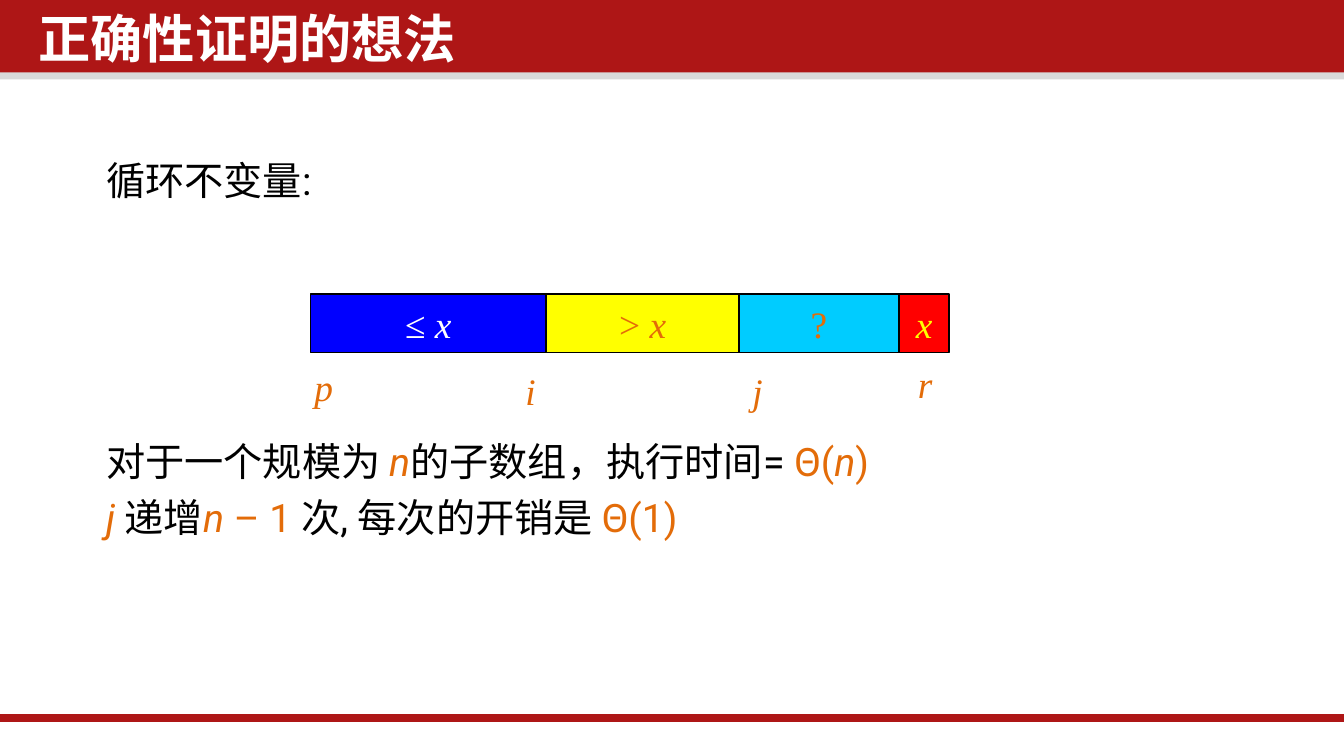
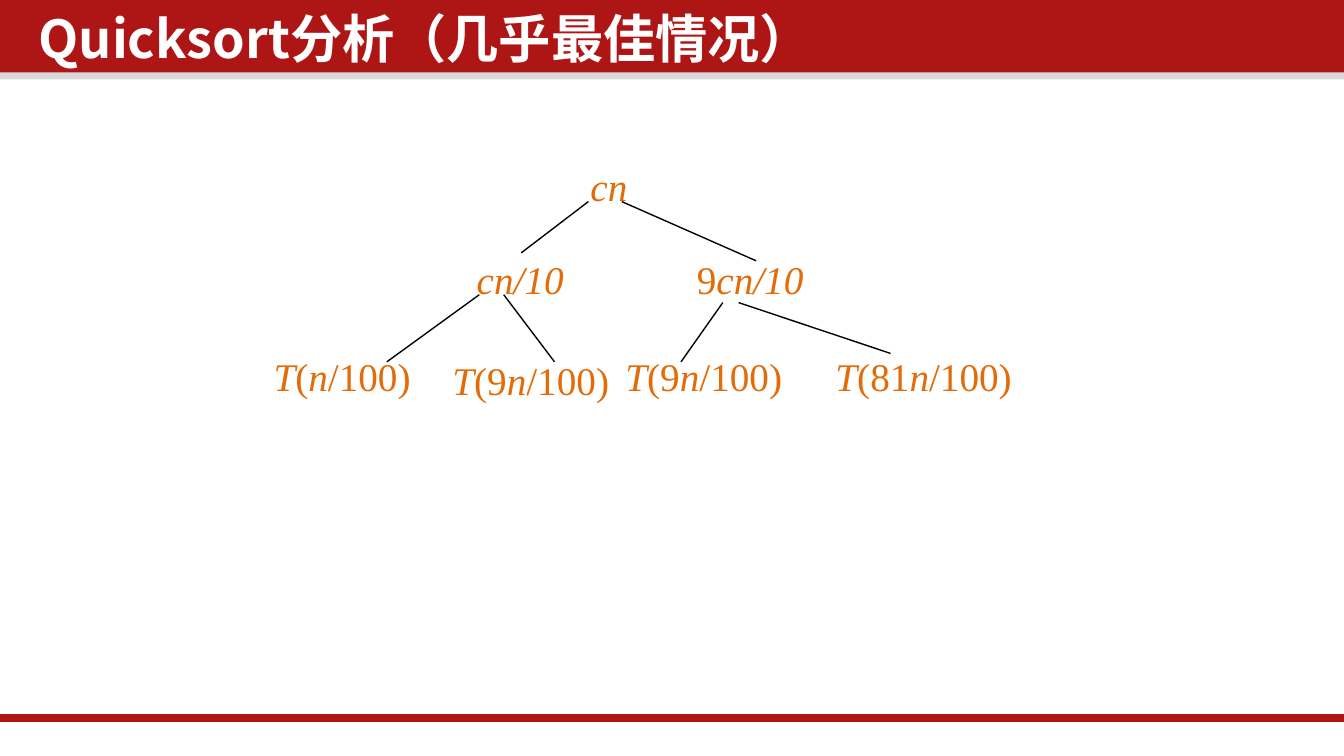
from lxml.etree import SubElement
from pptx import Presentation
from pptx.dml.color import RGBColor
from pptx.enum.shapes import MSO_CONNECTOR as Connector, MSO_SHAPE as Shape
from pptx.enum.text import MSO_ANCHOR as Anchor, MSO_AUTO_SIZE as AutoSize, PP_ALIGN as Align
from pptx.oxml.ns import qn
from pptx.util import Cm, Pt

WHITE = RGBColor(0xFF, 0xFF, 0xFF)
BLACK = RGBColor(0, 0, 0)
CRIMSON = RGBColor(0xAE, 0x16, 0x16)
GREY = RGBColor(0xD9, 0xD9, 0xD9)
ORANGE = RGBColor(0xE3, 0x6C, 0x09)
BLUE = RGBColor(0, 0, 0xFF)
YELLOW = RGBColor(0xFF, 0xFF, 0)
CYAN = RGBColor(0, 0xCC, 0xFF)
RED = RGBColor(0xFF, 0, 0)

SERIF = "Times New Roman"
CJK = "Noto Sans CJK SC"
WIDTH, HEIGHT = 25.4, 14.29
LINE_SPACING = 0.9

TITLE = {"name": CJK, "size": Pt(28), "bold": True}
BODY = {"name": "Roboto", "size": Pt(21)}
CELL = {"name": SERIF, "size": Pt(20)}
NODE = {"name": SERIF, "size": Pt(21)}


def add_runs(paragraph, runs, style):
    for text, color, italic in runs:
        run = paragraph.add_run()
        run.text = text
        for name, value in {**style, "italic": italic}.items():
            setattr(run.font, name, value)
        run.font.color.rgb = color
        SubElement(run.font._element, qn("a:ea")).set("typeface", CJK)


def format_frame(frame, **values):
    for name, value in values.items():
        setattr(frame, name, value)


def place(shape, left, top, width, height):
    for name, value in zip(("left", "top", "width", "height"), (left, top, width, height)):
        setattr(shape, name, Cm(value))


def add_rectangle(slide, box, fill, line=None):
    shape = slide.shapes.add_shape(Shape.RECTANGLE, *map(Cm, box))
    shape.shadow.inherit = False
    shape.fill.solid()
    shape.fill.fore_color.rgb = fill
    if line is None:
        shape.line.fill.background()
    else:
        shape.line.color.rgb = line
        shape.line.width = Pt(0.75)
    return shape


def add_line(slide, ends, color=BLACK, width=0.75):
    line = slide.shapes.add_connector(Connector.STRAIGHT, *map(Cm, ends))
    line.line.color.rgb = color
    line.line.width = Pt(width)
    SubElement(line.element.spPr, qn("a:effectLst"))
    return line


def add_label(slide, box, runs, style):
    frame = slide.shapes.add_textbox(*map(Cm, box)).text_frame
    format_frame(frame, word_wrap=False, auto_size=AutoSize.SHAPE_TO_FIT_TEXT)
    add_runs(frame.paragraphs[0], runs, style)


def add_master_bands(presentation, slide):
    bands = [
        add_rectangle(slide, (0, 1.27, WIDTH, 0.23), GREY),
        add_rectangle(slide, (0, 0, WIDTH, 1.37), CRIMSON),
        add_line(slide, (-0.05, 13.57, WIDTH, 13.57), CRIMSON, 4),
    ]
    tree = presentation.slide_master.element.cSld.spTree
    for index, band in enumerate(bands):
        band.element.xpath(".//p:cNvPr")[0].set("id", str(100 + index))
        tree.insert(2 + index, band.element)


def add_titled_slide(presentation, layout, text):
    slide = presentation.slides.add_slide(presentation.slide_layouts[layout])
    title = slide.shapes.title
    place(title, 0.55, 0.15, 19.4, 1.5)
    format_frame(title.text_frame, word_wrap=True, auto_size=AutoSize.NONE,
                 vertical_anchor=Anchor.TOP, margin_left=Cm(0.18), margin_right=Cm(0.18),
                 margin_top=Cm(0.1), margin_bottom=Cm(0.1))
    paragraph = title.text_frame.paragraphs[0]
    format_frame(paragraph, alignment=Align.LEFT, line_spacing=LINE_SPACING)
    add_runs(paragraph, [(text, WHITE, False)], TITLE)
    return slide


def add_body(slide, box, paragraphs):
    body = slide.placeholders[1]
    place(body, *box)
    frame = body.text_frame
    format_frame(frame, word_wrap=True, auto_size=AutoSize.NONE, vertical_anchor=Anchor.TOP)
    for index, (space, runs) in enumerate(paragraphs):
        paragraph = frame.add_paragraph() if index else frame.paragraphs[0]
        format_frame(paragraph, line_spacing=LINE_SPACING, space_before=Pt(space),
                     alignment=Align.LEFT)
        properties = paragraph._p.get_or_add_pPr()
        properties.set("marL", str(Cm(0.48)))
        properties.set("indent", str(Cm(-0.48)))
        SubElement(properties, qn("a:buNone"))
        add_runs(paragraph, runs, BODY)


def add_partition_array(slide, left, top):
    cells = [
        (4.45, BLUE, [("≤ ", WHITE, False), ("x", WHITE, True)]),
        (3.65, YELLOW, [("> ", ORANGE, False), ("x", ORANGE, True)]),
        (3.02, CYAN, [("?", ORANGE, False)]),
        (0.95, RED, [("x", YELLOW, True)]),
    ]
    cell_left = left
    for width, fill, runs in cells:
        frame = add_rectangle(slide, (cell_left, top, width, 1.11), fill, BLACK).text_frame
        format_frame(frame, word_wrap=False, vertical_anchor=Anchor.MIDDLE)
        frame.paragraphs[0].alignment = Align.CENTER
        add_runs(frame.paragraphs[0], runs, CELL)
        cell_left += width
    indices = [("p", -0.18, 1.19, 0.86), ("i", 3.81, 1.27, 0.71),
               ("j", 8.1, 1.27, 0.71), ("r", 11.23, 1.14, 0.79)]
    for text, x, y, width in indices:
        add_label(slide, (left + x, top + y, width, 1.12), [(text, ORANGE, True)], CELL)


def leaf_runs(factor):
    return [("T", ORANGE, True), ("(" + factor, ORANGE, False),
            ("n", ORANGE, True), ("/100)", ORANGE, False)]


def add_recursion_tree(slide, left, top):
    nodes = [
        (5.99, 0, 1.22, [("cn", ORANGE, True)]),
        (3.84, 1.75, 2.2, [("cn/10", ORANGE, True)]),
        (8, 1.75, 2.6, [("9", ORANGE, False), ("cn/10", ORANGE, True)]),
        (0, 3.58, 3.15, leaf_runs("")),
        (3.38, 3.66, 3.5, leaf_runs("9")),
        (6.65, 3.58, 3.5, leaf_runs("9")),
        (10.62, 3.58, 3.9, leaf_runs("81")),
    ]
    edges = [
        (6.2, 0.86, 4.93, 1.83), (6.83, 0.86, 9.37, 1.98),
        (4.14, 2.62, 2.39, 3.89), (4.6, 2.62, 5.56, 3.89),
        (8.74, 2.77, 7.95, 3.89), (9.04, 2.77, 11.91, 3.73),
    ]
    for x, y, width, runs in nodes:
        add_label(slide, (left + x, top + y, width, 1.14), runs, NODE)
    for x1, y1, x2, y2 in edges:
        add_line(slide, (left + x1, top + y1, left + x2, top + y2))


def build_invariant_slide(presentation):
    slide = add_titled_slide(presentation, 1, "正确性证明的想法")
    add_master_bands(presentation, slide)
    add_body(slide, (1.75, 2.92, 22.56, 8.81), [
        (7.5, [("循环不变量:", BLACK, False)]),
        (128, [("对于一个规模为 ", BLACK, False), ("n", ORANGE, True),
               ("的子数组，执行时间= ", BLACK, False), ("Θ(", ORANGE, False),
               ("n", ORANGE, True), (")", ORANGE, False)]),
        (7.5, [("j ", ORANGE, True), ("递增", BLACK, False), ("n", ORANGE, True),
               (" – 1 ", ORANGE, False), ("次, 每次的开销是 ", BLACK, False),
               ("Θ(1)", ORANGE, False)]),
    ])
    add_partition_array(slide, 5.87, 5.56)


def build_analysis_slide(presentation):
    slide = add_titled_slide(presentation, 5, "Quicksort分析（几乎最佳情况）")
    add_recursion_tree(slide, 4.92, 2.95)


def main():
    presentation = Presentation()
    presentation.slide_width = Cm(WIDTH)
    presentation.slide_height = Cm(HEIGHT)
    build_invariant_slide(presentation)
    build_analysis_slide(presentation)
    presentation.save("out.pptx")


if __name__ == "__main__":
    main()
